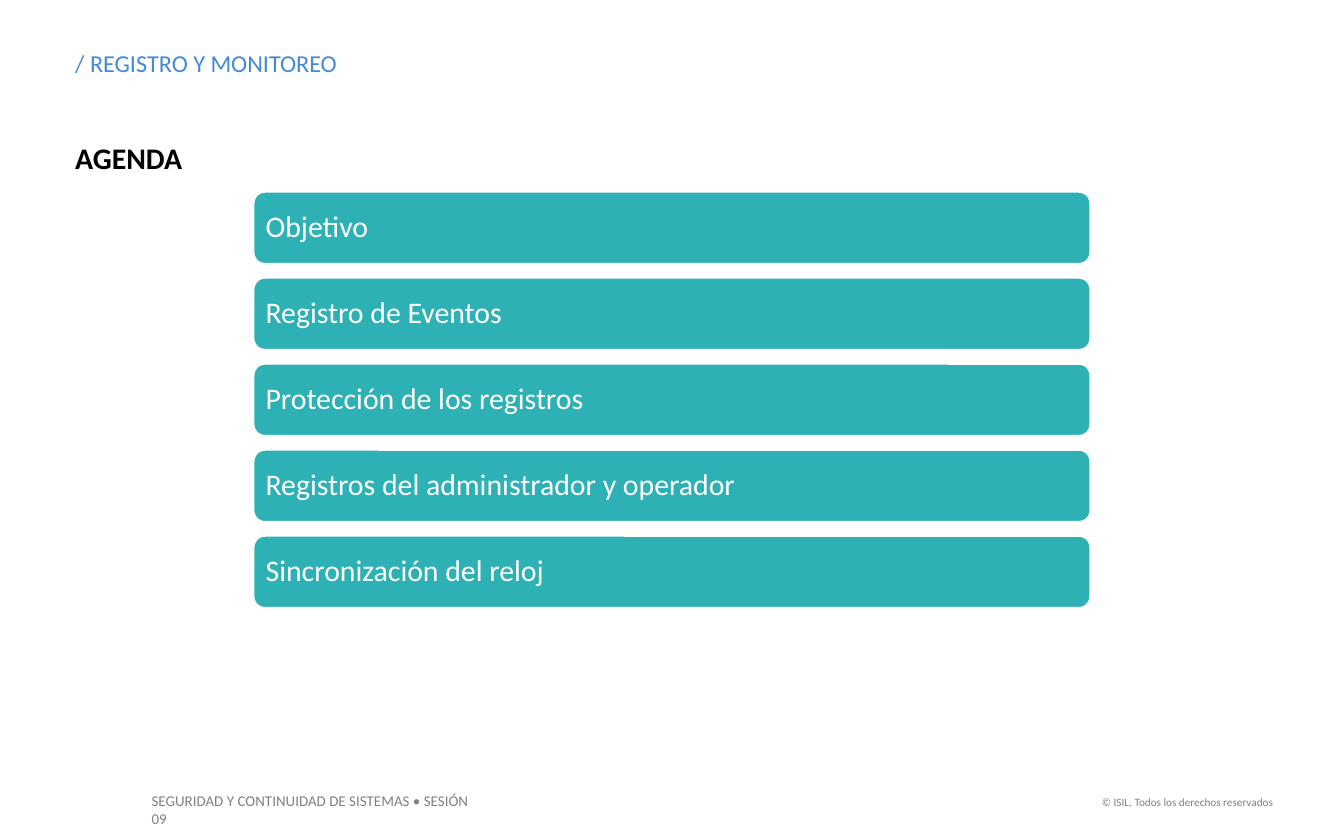
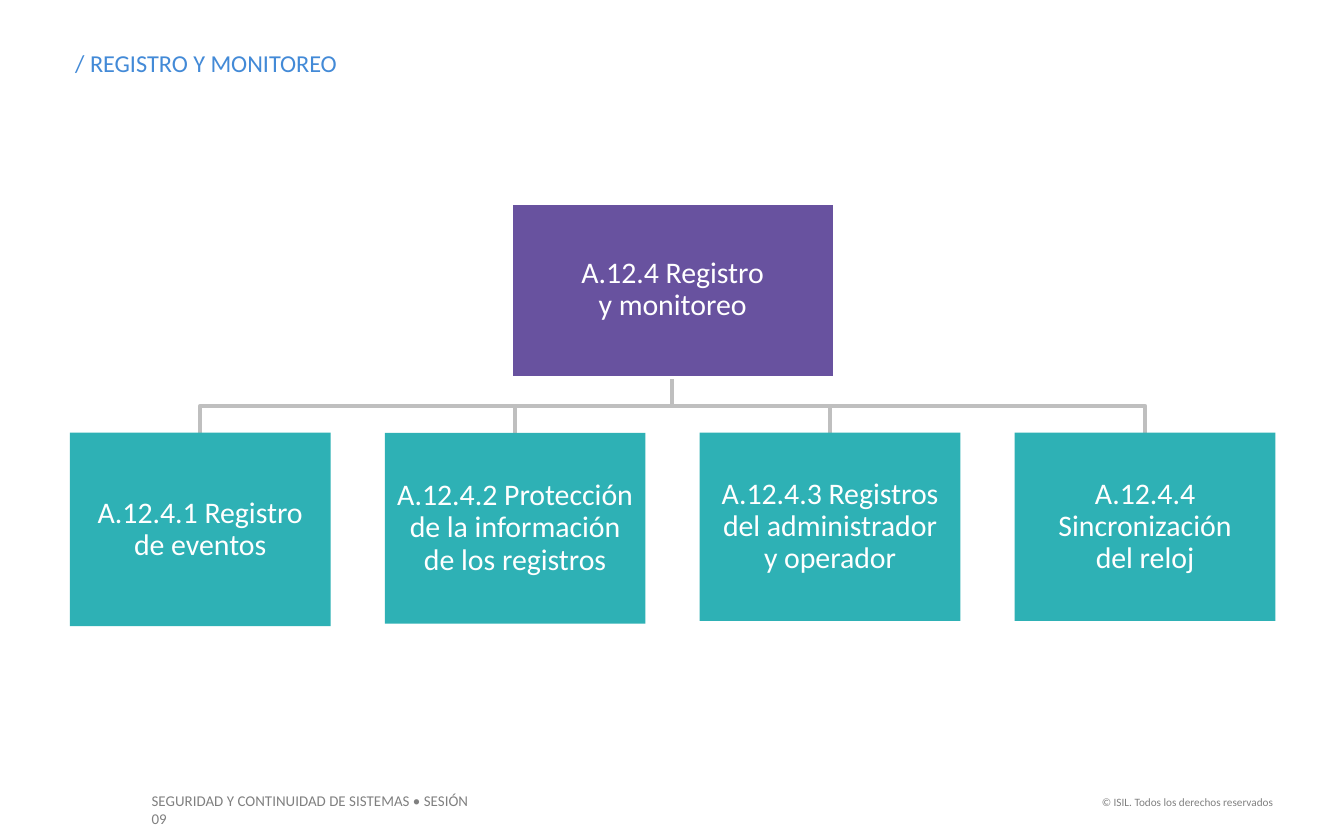
import pptx
import pptx.util
import pptx.dml.color
import pptx.enum.shapes
import pptx.enum.text

Inches = pptx.util.Inches
Pt = pptx.util.Pt
RGBColor = pptx.dml.color.RGBColor
SHAPE = pptx.enum.shapes.MSO_SHAPE
ALIGN = pptx.enum.text.PP_ALIGN
ANCHOR = pptx.enum.text.MSO_ANCHOR

BLUE = RGBColor(0x43, 0x8A, 0xD7)
TEAL = RGBColor(0x2E, 0xB1, 0xB5)
PURPLE = RGBColor(0x68, 0x52, 0x9F)
GREY = RGBColor(0x80, 0x80, 0x80)
LIGHT_GREY = RGBColor(0xBF, 0xBF, 0xBF)
WHITE = RGBColor(0xFF, 0xFF, 0xFF)
BLACK = RGBColor(0, 0, 0)

FONT = "Calibri"
MARGIN = 0.56


def write(shape, text, size, color, inset=0, align=ALIGN.LEFT,
          anchor=ANCHOR.TOP, spacing=1.0, bold=False):
    """Fill a shape with one formatted paragraph; inset is in inches."""
    frame = shape.text_frame
    frame.text = text
    frame.word_wrap = True
    frame.auto_size = pptx.enum.text.MSO_AUTO_SIZE.NONE
    frame.vertical_anchor = anchor
    frame.margin_left = frame.margin_right = Inches(inset)
    frame.margin_top = frame.margin_bottom = Inches(inset)
    para = frame.paragraphs[0]
    para.alignment = align
    para.line_spacing = spacing
    para.space_before = Pt(0)
    for span in para.runs:
        span.font.name = FONT
        span.font.size = Pt(size)
        span.font.bold = bold
        span.font.color.rgb = color


def add_box(slide, kind, left, top, width, height, fill, text, inset, align, outlined):
    box = slide.shapes.add_shape(
        kind, Inches(left), Inches(top), Inches(width), Inches(height))
    box.shadow.inherit = False
    box.fill.solid()
    box.fill.fore_color.rgb = fill
    if outlined:
        box.line.color.rgb = WHITE
        box.line.width = Pt(2)
    else:
        box.line.fill.background()
    write(box, text, 16, WHITE, inset, align, ANCHOR.MIDDLE, 0.9)


deck = pptx.Presentation()
deck.slide_width = Inches(10)
deck.slide_height = Inches(6.25)

# Title and footers shared by both slides
for _ in range(2):
    slide = deck.slides.add_slide(deck.slide_layouts[5])
    title = slide.shapes.title
    title.left, title.top = Inches(MARGIN), Inches(0.36)
    title.width, title.height = Inches(6.6), Inches(0.22)
    write(title, "/ REGISTRO Y MONITOREO", 13, BLUE)

    course = slide.shapes.add_textbox(
        Inches(1.03), Inches(5.84), Inches(2.74), Inches(0.24))
    write(course, "SEGURIDAD Y CONTINUIDAD DE SISTEMAS • SESIÓN 09", 8, GREY, 0.1)
    course.text_frame.margin_top = Inches(0.05)
    course.text_frame.margin_right = Inches(0.2)

    rights = slide.shapes.add_textbox(
        Inches(8.07), Inches(5.87), Inches(1.5), Inches(0.2))
    write(rights, "© ISIL. Todos los derechos reservados", 6, GREY, 0.05, ALIGN.RIGHT)
    rights.text_frame.margin_right = Inches(0.1)

agenda_slide, controls_slide = deck.slides

# Agenda
heading = agenda_slide.shapes.add_textbox(
    Inches(MARGIN), Inches(1.04), Inches(8.93), Inches(0.27))
write(heading, "AGENDA", 16, BLACK, bold=True)

topics = [
    "Objetivo",
    "Registro de Eventos",
    "Protección de los registros",
    "Registros del administrador y operador",
    "Sincronización del reloj",
]
for row, topic in enumerate(topics):
    add_box(agenda_slide, SHAPE.ROUNDED_RECTANGLE, 1.88, 1.42 + row * 0.64,
            6.24, 0.55, TEAL, topic, 0.07, ALIGN.LEFT, True)

# Control tree
controls = [
    ("A.12.4.1 Registro\vde eventos", 1.44),
    ("A.12.4.2 Protección de la información\vde los registros", 1.42),
    ("A.12.4.3 Registros del administrador\vy operador", 1.4),
    ("A.12.4.4 Sincronización\vdel reloj", 1.4),
]
ROOT_CENTER, ROOT_BOTTOM, BRANCH_Y, CONTROL_TOP = 5, 2.82, 3.02, 3.22
CONTROL_WIDTH = 1.94
CONTROL_STEP = (7.55 - 0.52) / 3
lefts = [0.52 + column * CONTROL_STEP for column in range(len(controls))]

for left in lefts:
    center = Inches(left + CONTROL_WIDTH / 2)
    builder = controls_slide.shapes.build_freeform(Inches(ROOT_CENTER), Inches(ROOT_BOTTOM))
    builder.add_line_segments([
        (Inches(ROOT_CENTER), Inches(BRANCH_Y)),
        (center, Inches(BRANCH_Y)),
        (center, Inches(CONTROL_TOP)),
    ], close=False)
    branch = builder.convert_to_shape()
    branch.shadow.inherit = False
    branch.fill.background()
    branch.line.color.rgb = LIGHT_GREY
    branch.line.width = Pt(2.25)

add_box(controls_slide, SHAPE.RECTANGLE, 3.8, 1.51, 2.41, 1.3, PURPLE,
        "A.12.4 Registro\vy monitoreo", 0.01, ALIGN.CENTER, True)
for left, (control, height) in zip(lefts, controls):
    add_box(controls_slide, SHAPE.RECTANGLE, left, CONTROL_TOP, CONTROL_WIDTH, height,
            TEAL, control, 0.01, ALIGN.CENTER, False)

deck.save("out.pptx")
